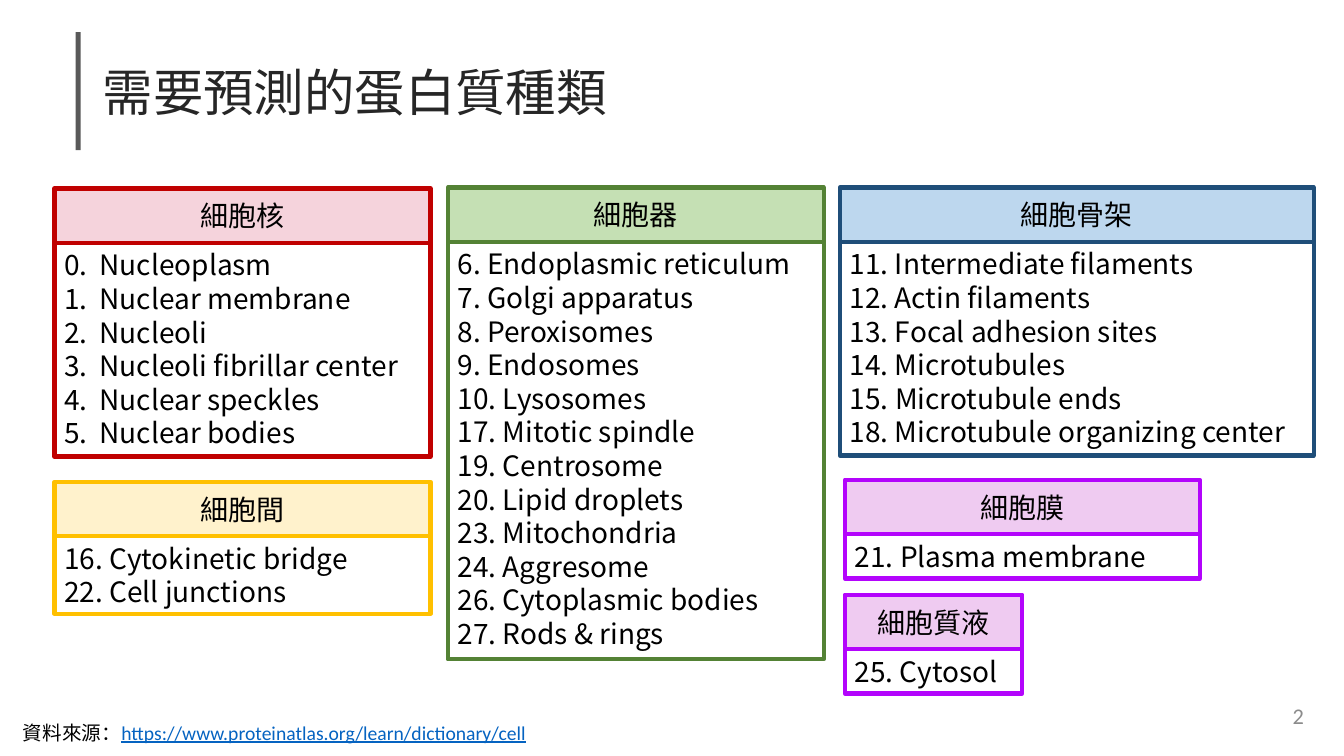
from lxml import etree
from pptx import Presentation
from pptx.dml.color import RGBColor
from pptx.enum.shapes import MSO_SHAPE
from pptx.enum.text import MSO_ANCHOR, PP_ALIGN
from pptx.oxml.ns import qn
from pptx.util import Inches, Pt

RECTANGLE = MSO_SHAPE.RECTANGLE
MIDDLE, TOP = MSO_ANCHOR.MIDDLE, MSO_ANCHOR.TOP
LEFT, CENTER, RIGHT = PP_ALIGN.LEFT, PP_ALIGN.CENTER, PP_ALIGN.RIGHT
NOTO, CALIBRI = "Noto Sans CJK SC", "Calibri"
HEADER_HEIGHT = 0.54
AUTO_NUMBERED = {10, 15, 16, 17, 19}

# Heading, left, top, width, list height, header fill, line colour, {number: protein}
GROUPS = [
    ("細胞核", 0.54, 1.87, 3.73, 2.12, "F5D3DC", "C00000",
     {0: "Nucleoplasm", 1: "Nuclear membrane", 2: "Nucleoli",
      3: "Nucleoli fibrillar center", 4: "Nuclear speckles", 5: "Nuclear bodies"}),
    ("細胞器", 4.44, 1.86, 3.73, 4.14, "C5E0B4", "548235",
     {6: "Endoplasmic reticulum", 7: "Golgi apparatus", 8: "Peroxisomes",
      9: "Endosomes", 10: "Lysosomes", 17: "Mitotic spindle", 19: "Centrosome",
      20: "Lipid droplets", 23: "Mitochondria", 24: "Aggresome",
      26: "Cytoplasmic bodies", 27: "Rods & rings"}),
    ("細胞骨架", 8.33, 1.86, 4.7, 2.12, "BDD7EE", "1F4E79",
     {11: "Intermediate filaments", 12: "Actin filaments",
      13: "Focal adhesion sites", 14: "Microtubules", 15: "Microtubule ends",
      18: "Microtubule organizing center"}),
    ("細胞間", 0.54, 4.78, 3.73, 0.77, "FFF2CC", "FFC000",
     {16: "Cytokinetic bridge", 22: "Cell junctions"}),
    ("細胞膜", 8.38, 4.76, 3.52, 0.44, "EFCBF1", "B304FC", {21: "Plasma membrane"}),
    ("細胞質液", 8.38, 5.9, 1.76, 0.44, "EFCBF1", "B304FC", {25: "Cytosol"}),
]


def color(value):
    return RGBColor.from_string(value)


def format_run(run, size, font, font_color):
    run.font.size = Pt(size)
    run.font.name = font
    run.font.color.rgb = color(font_color)
    east_asian = etree.SubElement(run.font._element, qn("a:ea"))
    east_asian.set("typeface", NOTO)


def add_box(slide, left, top, width, height, fill, line=None):
    shape = slide.shapes.add_shape(
        RECTANGLE, Inches(left), Inches(top), Inches(width), Inches(height))
    shape.shadow.inherit = False
    shape.fill.solid()
    shape.fill.fore_color.rgb = color(fill)
    if line:
        shape.line.color.rgb = color(line)
        shape.line.width = Pt(3)
    else:
        shape.line.fill.background()
    return shape


def add_text(slide, left, top, width, height, text, size, font, font_color,
             align=LEFT, anchor=MIDDLE):
    box = slide.shapes.add_textbox(
        Inches(left), Inches(top), Inches(width), Inches(height))
    box.text_frame.word_wrap = True
    box.text_frame.vertical_anchor = anchor
    paragraph = box.text_frame.paragraphs[0]
    paragraph.text = text
    paragraph.alignment = align
    format_run(paragraph.runs[0], size, font, font_color)
    return paragraph


def set_hanging_indent(paragraph, indent):
    properties = paragraph._p.get_or_add_pPr()
    properties.set("marL", str(Inches(indent)))
    properties.set("indent", str(-Inches(indent)))
    return properties


def fill_item(paragraph, number, protein):
    paragraph.text = f"{number}. {protein}"
    if number in AUTO_NUMBERED:
        paragraph.text = protein
        properties = set_hanging_indent(paragraph, 0.45)
        numbering = etree.SubElement(properties, qn("a:buAutoNum"))
        numbering.set("type", "arabicPeriod")
        numbering.set("startAt", str(number))
    elif number < 6:
        # The nucleus list aligns its names at a tab
        paragraph.text = f"{number}.\t{protein}"
        set_hanging_indent(paragraph, 0.35)
    paragraph.alignment = LEFT
    paragraph.line_spacing = Pt(24)
    format_run(paragraph.runs[0], 20, NOTO, "000000")


def add_group(slide, heading, left, top, width, list_height, fill, line, proteins):
    # Header
    header = add_box(slide, left, top, width, HEADER_HEIGHT, fill, line)
    header.text_frame.vertical_anchor = MIDDLE
    paragraph = header.text_frame.paragraphs[0]
    paragraph.text = heading
    paragraph.alignment = CENTER
    format_run(paragraph.runs[0], 20, NOTO, "000000")

    # Protein list
    body = add_box(slide, left, top + HEADER_HEIGHT, width, list_height, "FFFFFF", line)
    text_frame = body.text_frame
    text_frame.word_wrap = True
    text_frame.vertical_anchor = TOP
    for index, (number, protein) in enumerate(proteins.items()):
        paragraph = text_frame.add_paragraph() if index else text_frame.paragraphs[0]
        fill_item(paragraph, number, protein)


def main():
    presentation = Presentation()
    presentation.slide_width = Inches(13.33)
    presentation.slide_height = Inches(7.5)
    slide = presentation.slides.add_slide(presentation.slide_layouts[6])

    # Title with its accent bar
    add_box(slide, 0.75, 0.32, 0.05, 1.17, "595959")
    title = add_text(slide, 0.92, 0.62, 11.5, 0.65, "需要預測的蛋白質種類",
                     36, NOTO, "262626")
    title.line_spacing = 0.9

    # Protein groups
    for group in GROUPS:
        add_group(slide, *group)

    # Source and slide number
    source = add_text(slide, 0.13, 7.1, 5.24, 0.34, "資料來源：",
                      14, CALIBRI, "000000", anchor=TOP)
    address = source.add_run()
    address.text = "https://www.proteinatlas.org/learn/dictionary/cell"
    format_run(address, 14, CALIBRI, "0563C1")
    address.font.underline = True
    add_text(slide, 10.03, 6.9, 3, 0.4, "2", 16, CALIBRI, "8C8C8C", align=RIGHT)

    presentation.save("out.pptx")


if __name__ == "__main__":
    main()
